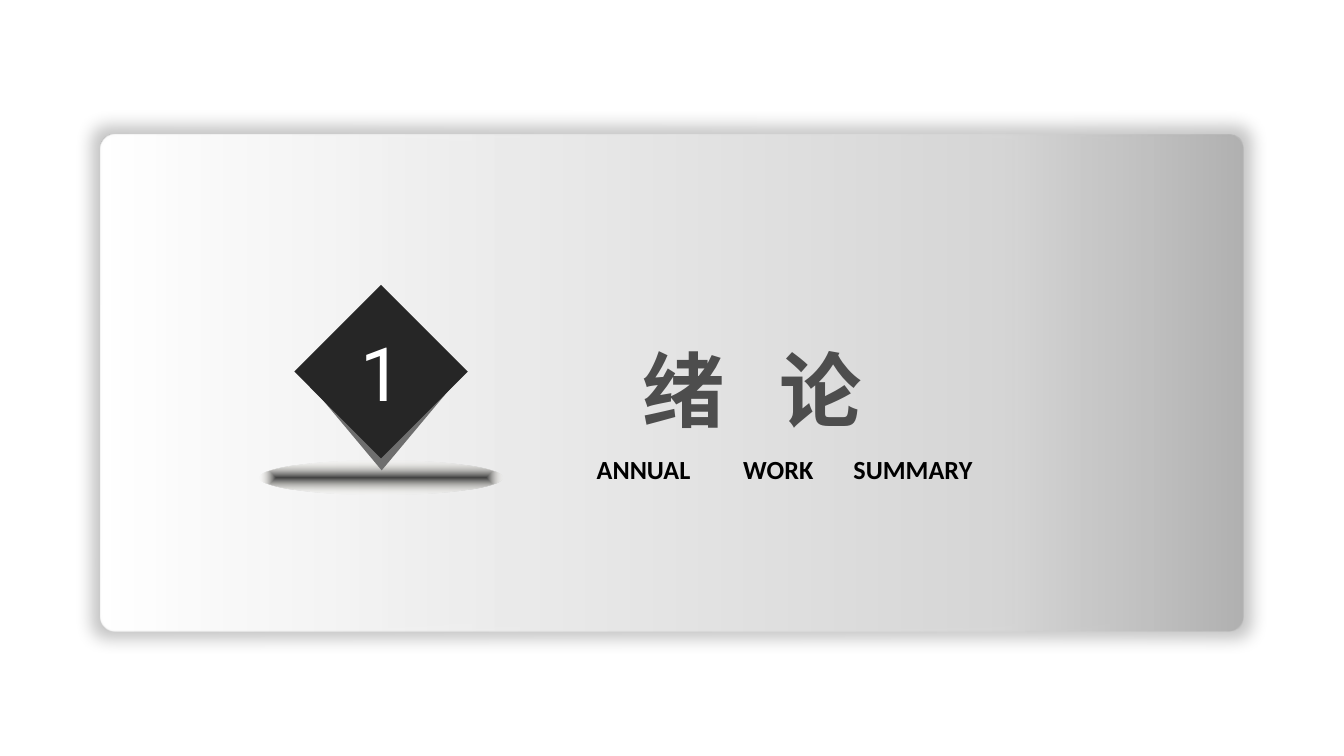
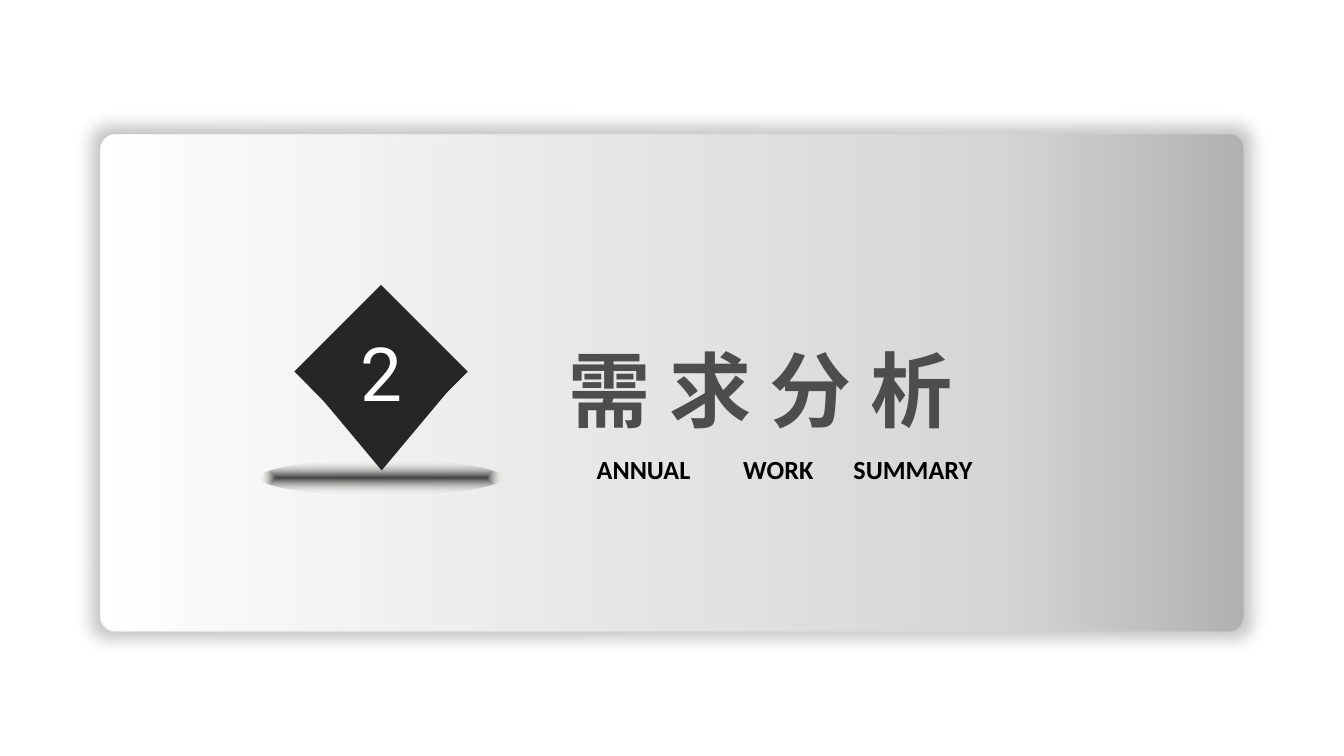
from lxml.etree import SubElement
from pptx import Presentation
from pptx.dml.color import RGBColor
from pptx.enum.shapes import MSO_SHAPE
from pptx.enum.text import MSO_ANCHOR, PP_ALIGN
from pptx.oxml import parse_xml
from pptx.oxml.ns import nsdecls, qn
from pptx.util import Inches, Pt

COLORS = {
    "white": "FFFFFF", "black": "000000", "dark": "262626",
    "shade": "6E6E6E", "title": "4D4D4D",
    "panel_edge": "B0B0B0", "panel_mid": "D7D7D7",
    "glow_core": "404040", "glow_rim": "EEECE1",
}
PANEL_STOPS = [(0, "panel_edge", 100), (21, "panel_mid", 92), (100, "white", 100)]
GLOW_STOPS = [(0, "glow_core", 100), (100, "glow_rim", 0)]
LINEAR = '<a:lin ang="10800000" scaled="0"/>'
SHAPED = '<a:path path="shape"><a:fillToRect l="50000" t="50000" r="50000" b="50000"/></a:path>'

# Number, title, title tabs, colour of the rear diamond
SECTIONS = [
    ("1", "\t绪\t论", [0.69, 1.71], "shade"),
    ("2", " 需 求 分 析", [], "dark"),
]


def add_shape(shapes, kind, box, color=None, stops=(), direction=""):
    """Add a borderless shape with a solid fill or a gradient."""
    sp = shapes.add_shape(kind, *[Inches(v) for v in box])
    sp.shadow.inherit = False
    sp.line.fill.background()
    if color:
        sp.fill.solid()
        sp.fill.fore_color.rgb = RGBColor.from_string(COLORS[color])
    else:
        sp.fill.background()
        gs = "".join(
            f'<a:gs pos="{pos * 1000}"><a:srgbClr val="{COLORS[name]}">'
            f'<a:alpha val="{alpha * 1000}"/></a:srgbClr></a:gs>'
            for pos, name, alpha in stops)
        spPr = sp._element.spPr
        spPr.replace(spPr.find(qn("a:noFill")), parse_xml(
            f'<a:gradFill {nsdecls("a")} rotWithShape="1">'
            f'<a:gsLst>{gs}</a:gsLst>{direction}</a:gradFill>'))
    return sp


def write(p, text, font, size, color, bold=False, align=PP_ALIGN.JUSTIFY,
          spacing=None, tabs=()):
    """Fill a paragraph with one formatted run."""
    if tabs:
        tab_list = SubElement(p._p.get_or_add_pPr(), qn("a:tabLst"))
        for pos in tabs:
            SubElement(tab_list, qn("a:tab"), pos=str(Inches(pos)), algn="l")
    p.alignment = align
    p.line_spacing = spacing
    r = p.add_run()
    r.text = text
    r.font.name = font
    r.font.size = Pt(size)
    r.font.bold = bold
    r.font.color.rgb = RGBColor.from_string(COLORS[color])
    SubElement(r._r.get_or_add_rPr(), qn("a:ea"), typeface=font)


# Widescreen 16:9
prs = Presentation()
prs.slide_width = Inches(10)
prs.slide_height = prs.slide_width * 9 // 16

for number, title, tabs, rear in SECTIONS:
    s = prs.slides.add_slide(prs.slide_layouts[6])

    # Panel with a soft shadow all round
    panel = add_shape(s.shapes, MSO_SHAPE.ROUNDED_RECTANGLE, (0.75, 1, 8.5, 3.7),
                      stops=PANEL_STOPS, direction=LINEAR)
    panel.adjustments[0] = 0.03
    panel._element.spPr.find(qn("a:effectLst")).append(parse_xml(
        f'<a:outerShdw {nsdecls("a")} blurRad="{Pt(9)}" dist="0" dir="0" '
        'sx="101500" sy="103000" algn="ctr" rotWithShape="0">'
        f'<a:srgbClr val="{COLORS["black"]}">'
        '<a:alpha val="24000"/></a:srgbClr></a:outerShdw>'))

    # Ground shadow below the marker
    glow = add_shape(s.shapes, MSO_SHAPE.OVAL, (1.93, 3.43, 1.81, 0.25),
                     stops=GLOW_STOPS, direction=SHAPED)
    glow.rotation = 180

    # Numbered diamond marker
    marker = s.shapes.add_group_shape()
    add_shape(marker.shapes, MSO_SHAPE.DIAMOND, (2.3, 2.21, 1.08, 1.29), rear)
    front = add_shape(marker.shapes, MSO_SHAPE.DIAMOND, (2.19, 2.12, 1.29, 1.29), "dark")
    tf = front.text_frame
    tf.margin_left = tf.margin_right = tf.margin_top = tf.margin_bottom = 0
    tf.vertical_anchor = MSO_ANCHOR.MIDDLE
    write(tf.paragraphs[0], number, "Roboto", 40, "white", align=PP_ALIGN.CENTER)

    # Section title and subtitle
    tb = s.shapes.add_textbox(Inches(3.98), Inches(2.1), Inches(4.09), Inches(2.6))
    tf = tb.text_frame
    tf.word_wrap = True
    tf.margin_left = tf.margin_right = Inches(0.11)
    tf.margin_top = tf.margin_bottom = Inches(0.06)
    write(tf.paragraphs[0], title, "Noto Sans CJK SC", 44, "title", bold=True,
          spacing=1.5, tabs=tabs)
    write(tf.add_paragraph(), "\tANNUAL\tWORK\tSUMMARY", "Calibri", 14, "black",
          bold=True, spacing=1.5, tabs=[0.35, 1.44, 2.26])

prs.save("out.pptx")
